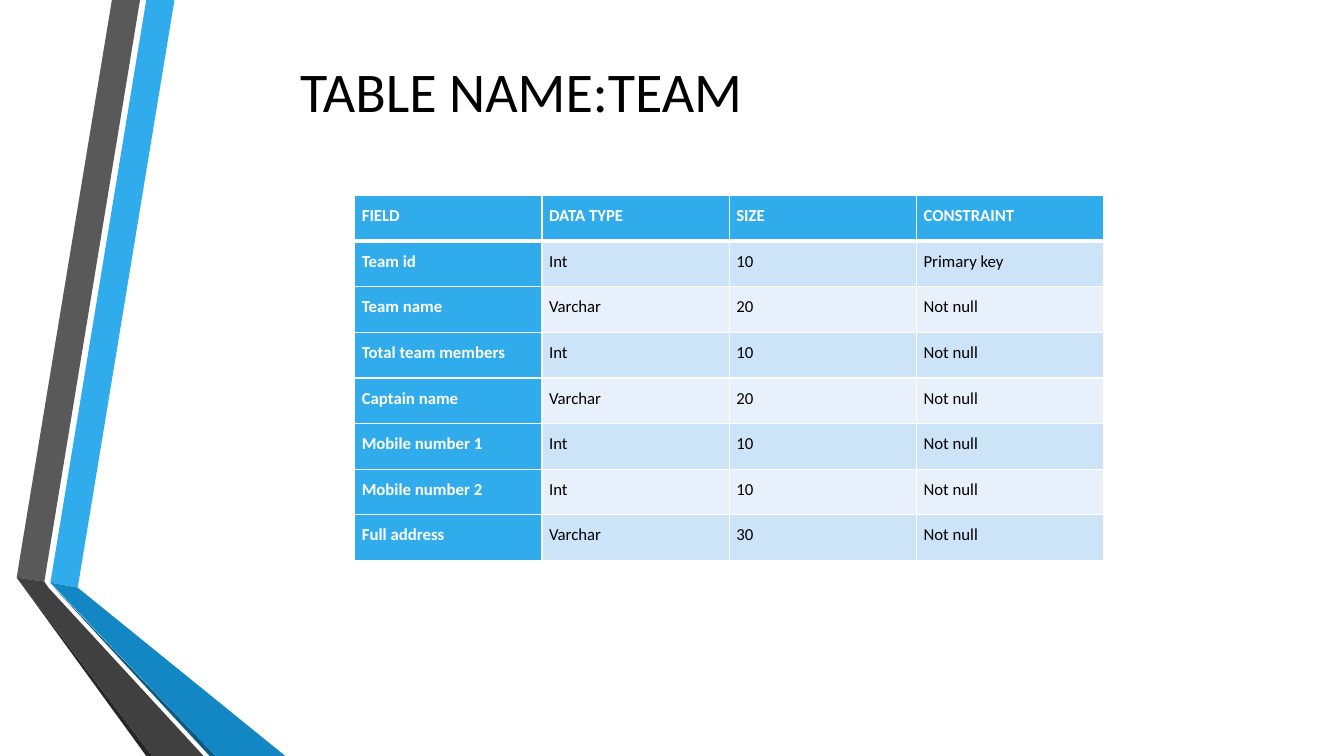
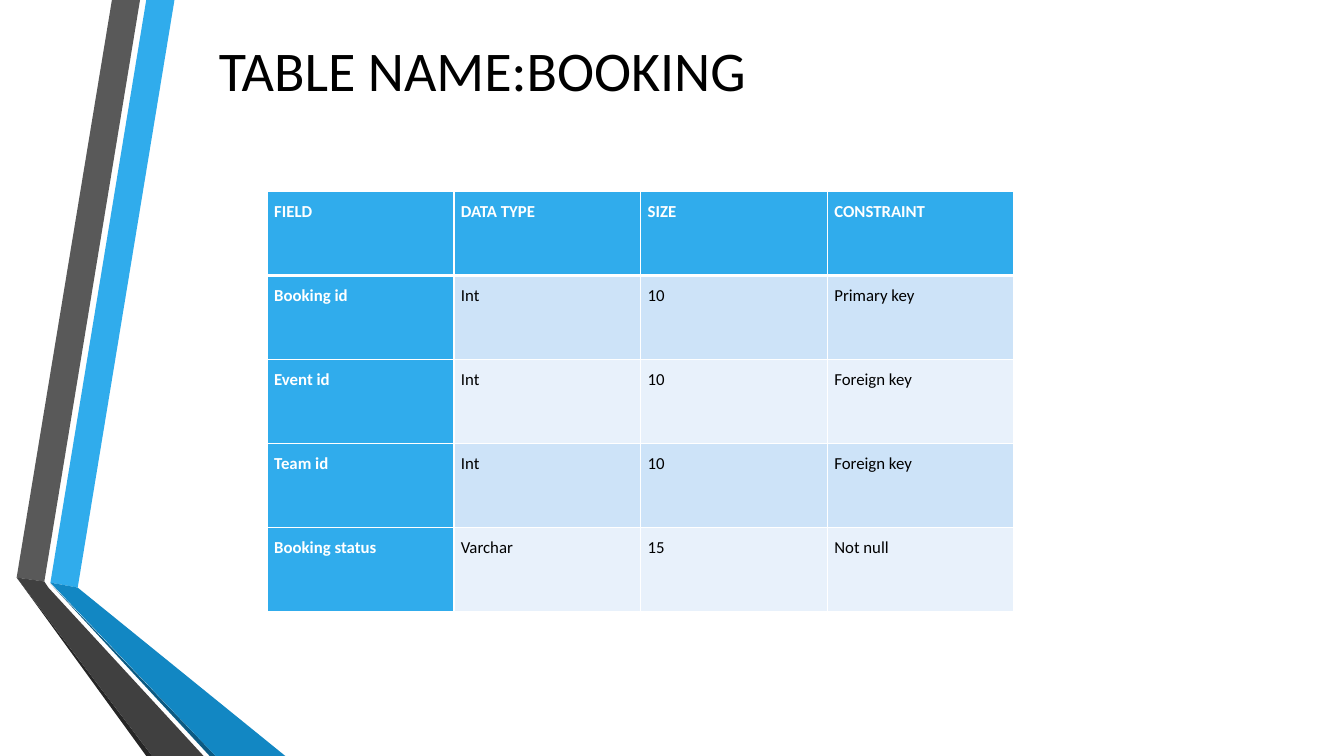
"""Build two slides that describe the fields of the team and booking tables."""
from lxml.etree import SubElement
from pptx import Presentation
from pptx.dml.color import RGBColor
from pptx.enum.text import MSO_ANCHOR, PP_ALIGN
from pptx.oxml.ns import qn
from pptx.util import Inches, Pt

COLORS = {
    "white": "FFFFFF",
    "black": "000000",
    "blue": "30ACEC",
    "mid_blue": "1287C3",
    "deep_blue": "0C5A82",
    "gray": "595959",
    "dark_gray": "404040",
    "deep_gray": "262626",
    "odd_row": "CDE3F8",
    "even_row": "E8F1FB",
}
FONT = "Calibri"
HEADER = ("FIELD", "DATA TYPE", "SIZE", "CONSTRAINT")

RIBBONS = [
    ("blue", [(3.75, 77.07), (5.78, 77.73), (12.98, 0), (10.88, 0)]),
    ("gray", [(10.42, 0), (8.33, 0), (1.24, 76.4), (3.3, 76.93)]),
    ("deep_gray", [(1.24, 76.4), (10.88, 100), (11.32, 100)]),
    ("deep_blue", [(3.75, 77.2), (15.6, 100), (16.05, 100)]),
    ("mid_blue", [(3.75, 77.07), (16.05, 100), (21.23, 100), (5.78, 77.73)]),
    ("dark_gray", [(15.15, 100), (3.6, 77.73), (3.3, 76.93), (1.24, 76.4), (11.32, 100)]),
]

SLIDES = [
    {
        "title": "TABLE NAME:TEAM",
        "title_box": (12.15, 5.6, 53.25, 12.53),
        "table_box": (26.4, 25.87, 55.73, 48.27),
        "fields": [
            ("Team id", "Int", "10", "Primary key"),
            ("Team name", "Varchar", "20", "Not null"),
            ("Total team members", "Int", "10", "Not null"),
            ("Captain name", "Varchar", "20", "Not null"),
            ("Mobile number 1", "Int", "10", "Not null"),
            ("Mobile number 2", "Int", "10", "Not null"),
            ("Full address", "Varchar", "30", "Not null"),
        ],
    },
    {
        "title": "TABLE NAME:BOOKING",
        "title_box": (9, 2.13, 53.78, 14),
        "table_box": (19.88, 25.33, 55.58, 55.6),
        "fields": [
            ("Booking id", "Int", "10", "Primary key"),
            ("Event id", "Int", "10", "Foreign key"),
            ("Team id", "Int", "10", "Foreign key"),
            ("Booking status", "Varchar", "15", "Not null"),
        ],
    },
]

presentation = Presentation()
presentation.slide_width = Inches(13.33)
presentation.slide_height = Inches(7.5)
COLUMN = presentation.slide_width / 100
ROW = presentation.slide_height / 100


def write_text(frame, text, *, size, color, bold=False, align=PP_ALIGN.LEFT, spacing=1.0):
    paragraph = frame.paragraphs[0]
    paragraph.alignment = align
    paragraph.line_spacing = spacing
    run = paragraph.add_run()
    run.text = text
    run.font.name = FONT
    run.font.size = Pt(size)
    run.font.bold = bold
    run.font.color.rgb = RGBColor.from_string(COLORS[color])


def draw_borders(cell, widths):
    properties = cell._tc.get_or_add_tcPr()
    for side, width in widths.items():
        line = SubElement(properties, qn(f"a:ln{side}"), w=str(Pt(width)))
        fill = SubElement(line, qn("a:solidFill"))
        SubElement(fill, qn("a:srgbClr"), val=COLORS["white"])


for content in SLIDES:
    slide = presentation.slides.add_slide(presentation.slide_layouts[6])

    for color, corners in RIBBONS:
        points = [(round(x * COLUMN), round(y * ROW)) for x, y in corners]
        builder = slide.shapes.build_freeform(*points[0])
        builder.add_line_segments(points[1:], close=True)
        shape = builder.convert_to_shape()
        shape.shadow.inherit = False
        shape.fill.solid()
        shape.fill.fore_color.rgb = RGBColor.from_string(COLORS[color])
        shape.line.fill.background()

    left, top, width, height = content["title_box"]
    title = slide.shapes.add_textbox(
        round(left * COLUMN), round(top * ROW), round(width * COLUMN), round(height * ROW)
    )
    title.text_frame.word_wrap = True
    title.text_frame.vertical_anchor = MSO_ANCHOR.MIDDLE
    write_text(title.text_frame, content["title"], size=40, color="black", align=PP_ALIGN.CENTER)

    rows = [HEADER, *content["fields"]]
    left, top, width, height = content["table_box"]
    table = slide.shapes.add_table(
        len(rows), len(HEADER),
        round(left * COLUMN), round(top * ROW), round(width * COLUMN), round(height * ROW),
    ).table
    table.first_col = True
    table.horz_banding = False

    for row_index, values in enumerate(rows):
        for column_index, value in enumerate(values):
            cell = table.cell(row_index, column_index)
            cell.margin_left = cell.margin_right = round(0.52 * COLUMN)
            cell.margin_top = cell.margin_bottom = 0
            heading = row_index == 0 or column_index == 0
            band = "odd_row" if row_index % 2 else "even_row"
            draw_borders(cell, {
                "L": 1,
                "R": 1,
                "T": 3 if row_index == 1 else 1,
                "B": 3 if row_index == 0 else 1,
            })
            cell.fill.solid()
            cell.fill.fore_color.rgb = RGBColor.from_string(COLORS["blue" if heading else band])
            write_text(
                cell.text_frame, value, size=12, bold=heading, spacing=1.5,
                color="white" if heading else "black",
            )

presentation.save("out.pptx")
